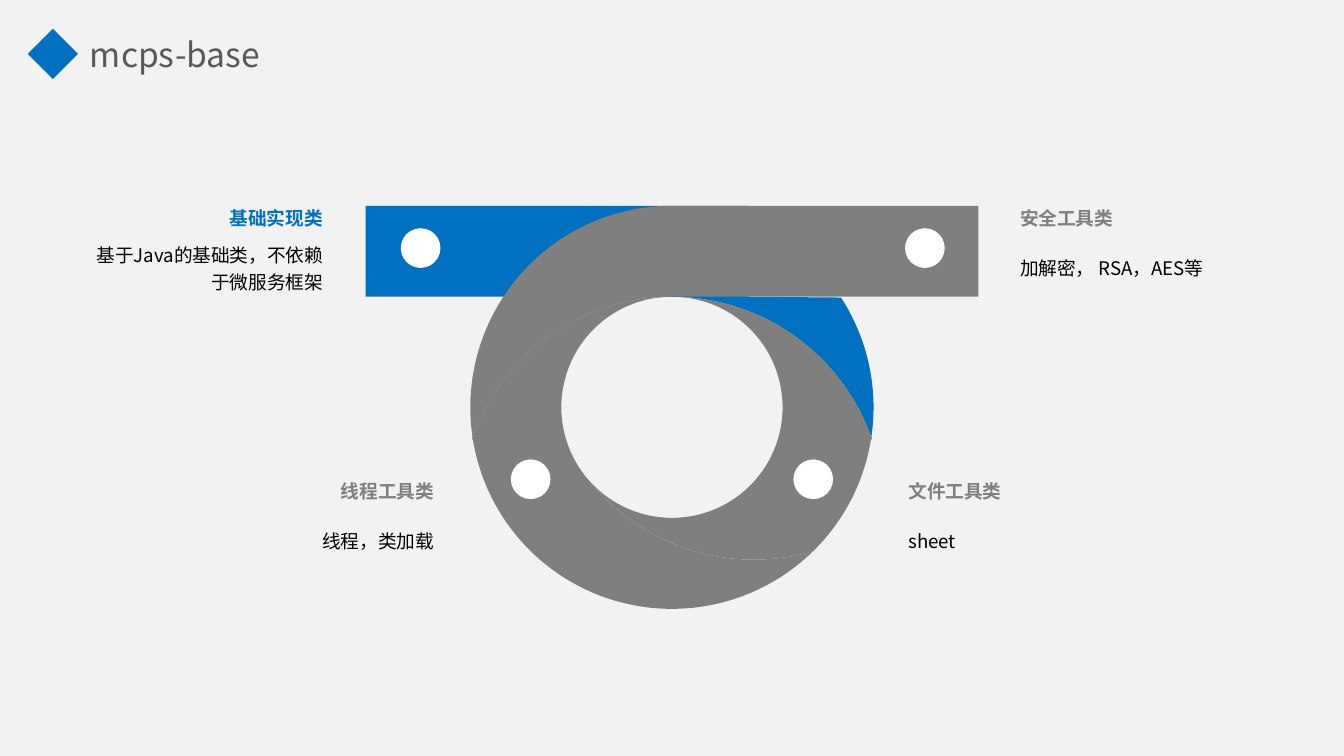
from dataclasses import dataclass
from math import cos, radians, sin

from pptx import Presentation
from pptx.dml.color import RGBColor
from pptx.enum import shapes, text
from pptx.oxml.ns import qn
from pptx.util import Cm, Pt

Point = tuple[float, float]


@dataclass(frozen=True)
class Theme:
    background: RGBColor = RGBColor(0xF2, 0xF2, 0xF2)
    blue: RGBColor = RGBColor(0x00, 0x70, 0xC0)
    grey: RGBColor = RGBColor(0x7F, 0x7F, 0x7F)
    title: RGBColor = RGBColor(0x59, 0x59, 0x59)
    body: RGBColor = RGBColor(0x00, 0x00, 0x00)
    white: RGBColor = RGBColor(0xFF, 0xFF, 0xFF)
    font: str = "Noto Sans CJK SC"
    title_size: int = 18
    text_size: int = 10


@dataclass(frozen=True)
class Circle:
    x: float
    y: float
    radius: float

    def arc(self, start: float, end: float) -> list[Point]:
        """Points from start to end, in degrees clockwise from the right."""
        steps = max(2, round(abs(end - start) / 2))
        angles = [radians(start + (end - start) * i / steps) for i in range(steps + 1)]
        return [(self.x + self.radius * cos(a), self.y + self.radius * sin(a)) for a in angles]


@dataclass(frozen=True)
class Band:
    color: RGBColor
    outline: list[Point]


@dataclass(frozen=True)
class Label:
    heading: str
    body: str
    left: float
    top: float
    width: float
    align: text.PP_ALIGN
    color: RGBColor


THEME = Theme()
LEFT, RIGHT = text.PP_ALIGN.LEFT, text.PP_ALIGN.RIGHT

# Ring, with the two larger circles that cut it into bands
OUTER = Circle(12.7, 7.7, 3.81)
INNER = Circle(12.7, 7.7, 2.09)
SWIRL_TOP = Circle(12.7, 9.61, 4)
SWIRL_LOW = Circle(14.25, 6.58, 4)

# Bars running into the ring
BAR_LEFT, BAR_RIGHT = 6.91, 18.49
BAR_TOP, BAR_BOTTOM = OUTER.y - OUTER.radius, INNER.y - INNER.radius
BLUE_END = 14.15

BANDS = [
    Band(THEME.blue, [(BAR_LEFT, BAR_TOP), (BLUE_END, BAR_TOP), (BLUE_END, BAR_BOTTOM),
                      *OUTER.arc(-33, 9.2), *SWIRL_TOP.arc(-19.2, -90),
                      (BAR_LEFT, BAR_BOTTOM)]),
    Band(THEME.grey, [*SWIRL_TOP.arc(-90, -19.2), *OUTER.arc(9.2, 45.5),
                      *SWIRL_LOW.arc(73.8, 140.2), *INNER.arc(136.5, -90)]),
    Band(THEME.grey, [*INNER.arc(-90, -223.5), *SWIRL_LOW.arc(140.2, 73.8),
                      *OUTER.arc(45.5, 170.8), *SWIRL_TOP.arc(-160.8, -90)]),
    Band(THEME.grey, [(BAR_RIGHT, BAR_TOP), (BAR_RIGHT, BAR_BOTTOM),
                      *SWIRL_TOP.arc(-90, -160.8), *OUTER.arc(170.8, 270)]),
]

UPPER, LOWER = 3.91, 9.07
LABELS = [
    Label("文件工具类", "sheet", 16.97, LOWER, 5.13, LEFT, THEME.grey),
    Label("线程工具类", "线程，类加载", 3.4, LOWER, 5, RIGHT, THEME.grey),
    Label("安全工具类", "加解密， RSA，AES等", 19.08, UPPER, 5.13, LEFT, THEME.grey),
    Label("基础实现类", "基于Java的基础类，不依赖于微服务框架", 1.3, UPPER, 5, RIGHT, THEME.blue),
]

ICON_SIZE = 0.75
ICON_CENTRES = [(7.95, 4.69), (17.48, 4.69), (10.03, 9.06), (15.37, 9.06)]


def paint(sp, color: RGBColor) -> None:
    sp.shadow.inherit = False
    sp.fill.solid()
    sp.fill.fore_color.rgb = color
    sp.line.fill.background()


def add_text(slide, content: str, left: float, top: float, width: float, height: float,
             size: int, color: RGBColor, align: text.PP_ALIGN = LEFT, inset: float = 0,
             bold: bool = False, wrap: bool = True, spacing: float = 1,
             anchor: text.MSO_ANCHOR = text.MSO_ANCHOR.MIDDLE) -> None:
    tf = slide.shapes.add_textbox(Cm(left), Cm(top), Cm(width), Cm(height)).text_frame
    tf.margin_left = tf.margin_right = Cm(inset)
    tf.margin_top = tf.margin_bottom = 0
    tf.word_wrap = wrap
    tf.vertical_anchor = anchor
    tf.text = content
    p = tf.paragraphs[0]
    p.alignment = align
    p.line_spacing = spacing
    r = p.runs[0]
    r.font.name = THEME.font
    r.font.size = Pt(size)
    r.font.bold = bold
    r.font.color.rgb = color
    # East Asian typeface
    ea = r.font._element.makeelement(qn("a:ea"), {"typeface": THEME.font})
    r.font._element.find(qn("a:latin")).addnext(ea)


def add_label(slide, label: Label) -> None:
    heading_height, body_height, inset = 0.51, 1.22, 0.2
    add_text(slide, label.body, label.left, label.top + heading_height, label.width,
             body_height, THEME.text_size, THEME.body, label.align, inset, spacing=1.2)
    add_text(slide, label.heading, label.left, label.top, label.width, heading_height,
             THEME.text_size, label.color, label.align, inset, bold=True, wrap=False,
             anchor=text.MSO_ANCHOR.TOP)


def add_band(slide, band: Band) -> None:
    start, *rest = [(Cm(x), Cm(y)) for x, y in band.outline]
    builder = slide.shapes.build_freeform(*start)
    builder.add_line_segments(rest, close=True)
    paint(builder.convert_to_shape(), band.color)


def add_mark(slide, kind: shapes.MSO_SHAPE, centre: Point, size: float, color: RGBColor) -> None:
    x, y = centre
    sp = slide.shapes.add_shape(kind, Cm(x - size / 2), Cm(y - size / 2), Cm(size), Cm(size))
    paint(sp, color)


def main() -> None:
    prs = Presentation()
    prs.slide_width, prs.slide_height = Cm(25.4), Cm(14.29)
    slide = prs.slides.add_slide(prs.slide_layouts[6])
    slide.background.fill.solid()
    slide.background.fill.fore_color.rgb = THEME.background

    # Labels around the ring
    for label in LABELS:
        add_label(slide, label)

    # Ring bands and their icons
    for band in BANDS:
        add_band(slide, band)
    for centre in ICON_CENTRES:
        add_mark(slide, shapes.MSO_SHAPE.OVAL, centre, ICON_SIZE, THEME.white)

    # Title
    add_text(slide, "mcps-base", 1.7, 0.48, 5.92, 1.07, THEME.title_size, THEME.title)
    add_mark(slide, shapes.MSO_SHAPE.DIAMOND, (1, 1.02), 0.95, THEME.blue)

    prs.save("out.pptx")


if __name__ == "__main__":
    main()
